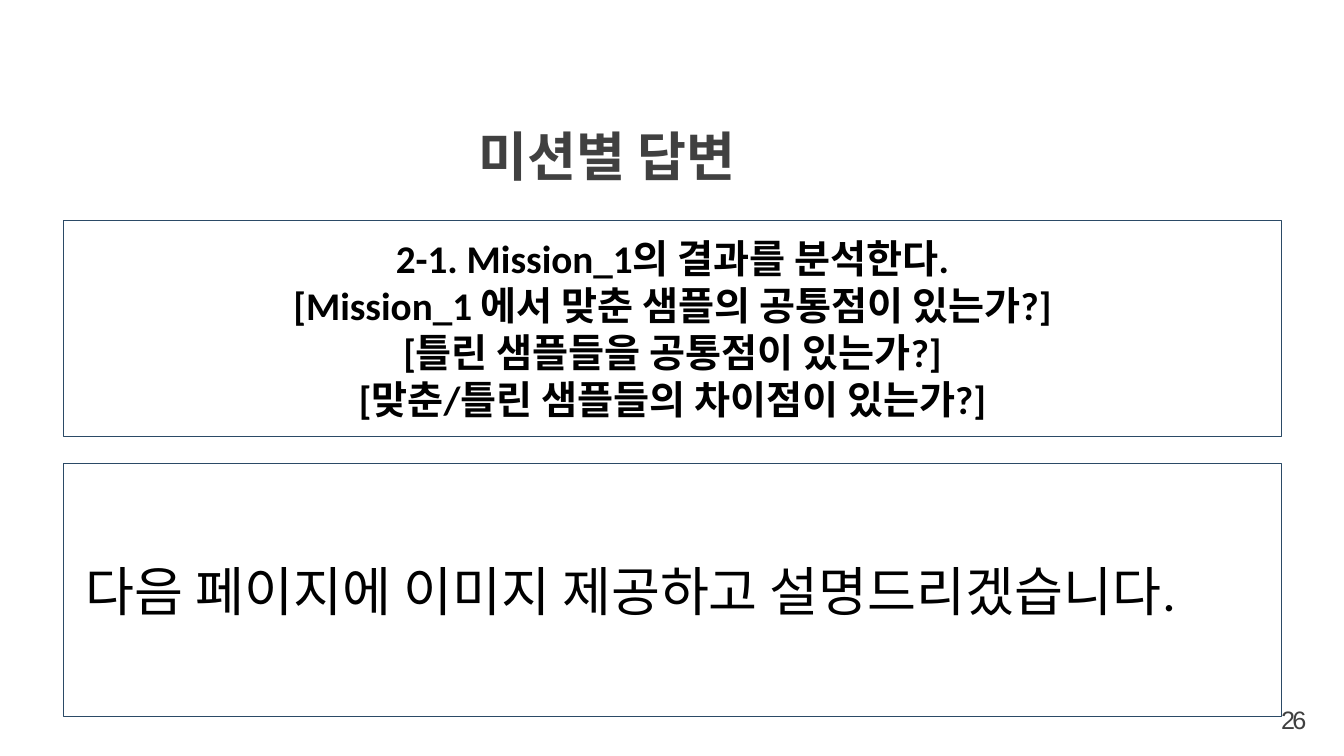
from dataclasses import dataclass

from pptx import Presentation
from pptx import util as u
from pptx.dml.color import RGBColor
from pptx.enum import text
from pptx.enum.shapes import MSO_SHAPE
from pptx.oxml.ns import qn


@dataclass(frozen=True)
class Theme:
    ink: RGBColor = RGBColor(0x00, 0x00, 0x00)
    muted: RGBColor = RGBColor(0x40, 0x40, 0x40)
    paper: RGBColor = RGBColor(0xFF, 0xFF, 0xFF)
    border: RGBColor = RGBColor(0x2B, 0x4A, 0x66)
    heading_font: str = "Noto Sans CJK KR"
    body_font: str = "Calibri"
    number_font: str = "Arial"
    large: int = 38
    medium: int = 28
    small: int = 18


THEME = Theme()
PANEL_LEFT, PANEL_WIDTH = 45.4, 869.8

QUESTIONS = [
    "2-1. Mission_1의 결과를 분석한다.",
    "[Mission_1 에서 맞춘 샘플의 공통점이 있는가?]",
    "[틀린 샘플들을 공통점이 있는가?]",
    "[맞춘/틀린 샘플들의 차이점이 있는가?]",
]
ANSWER = "다음 페이지에 이미지 제공하고 설명드리겠습니다."


def add_span(para, words, font, size, color, bold=False):
    span = para.add_run()
    span.text = words
    span.font.name = font
    span.font.size = u.Pt(size)
    span.font.bold = bold
    span.font.color.rgb = color
    return span


def set_frame(box, anchor, side=7.2, edge=3.6):
    frame = box.text_frame
    frame.word_wrap = True
    frame.auto_size = text.MSO_AUTO_SIZE.NONE
    frame.vertical_anchor = anchor
    frame.margin_left = frame.margin_right = u.Pt(side)
    frame.margin_top = frame.margin_bottom = u.Pt(edge)
    return frame


def add_title(page, words):
    box = page.shapes.title
    box.left, box.top = u.Pt(333), u.Pt(73.4)
    box.width, box.height = u.Pt(520), u.Pt(65.5)
    para = set_frame(box, text.MSO_ANCHOR.BOTTOM, 8.6, 4.3).paragraphs[0]
    para.alignment = text.PP_ALIGN.LEFT
    para.line_spacing = 0.9
    span = add_span(para, words, THEME.heading_font, THEME.large, THEME.muted, True)
    # Hangul takes its face from the East Asian font
    east_asian = span.font._element.makeelement(
        qn("a:ea"), {"typeface": THEME.heading_font})
    span.font._element.find(qn("a:latin")).addnext(east_asian)


def add_panel(page, top, height, lines, size, align, bold=False, indent=0):
    box = page.shapes.add_shape(
        MSO_SHAPE.RECTANGLE, u.Pt(PANEL_LEFT), u.Pt(top), u.Pt(PANEL_WIDTH), u.Pt(height))
    box.shadow.inherit = False
    box.fill.solid()
    box.fill.fore_color.rgb = THEME.paper
    box.line.color.rgb = THEME.border
    box.line.width = u.Pt(1)
    frame = set_frame(box, text.MSO_ANCHOR.MIDDLE)
    frame.margin_left = u.Pt(7.2 + indent)
    for index, line in enumerate(lines):
        para = frame.add_paragraph() if index else frame.paragraphs[0]
        para.alignment = align
        add_span(para, line, THEME.body_font, size, THEME.ink, bold)


def add_page_number(page, number):
    box = page.shapes.add_textbox(u.Pt(815.8), u.Pt(444.2), u.Pt(126), u.Pt(85))
    para = set_frame(box, text.MSO_ANCHOR.BOTTOM, 8.6, 4.3).paragraphs[0]
    para.alignment = text.PP_ALIGN.RIGHT
    para.line_spacing = 0.9
    span = add_span(para, number, THEME.number_font, THEME.small, THEME.muted)
    span.font._element.set("spc", "-190")


def main():
    deck = Presentation()
    deck.slide_width, deck.slide_height = u.Pt(960), u.Pt(540)
    page = deck.slides.add_slide(deck.slide_layouts[5])

    # Heading
    add_title(page, "미션별 답변")

    # Questions and answer
    add_panel(page, 157.7, 154.1, QUESTIONS, THEME.medium,
              text.PP_ALIGN.CENTER, bold=True)
    add_panel(page, 331.2, 180.7, [ANSWER], THEME.large,
              text.PP_ALIGN.LEFT, indent=8.6)

    # Page number
    add_page_number(page, "26")

    deck.save("out.pptx")


if __name__ == "__main__":
    main()
